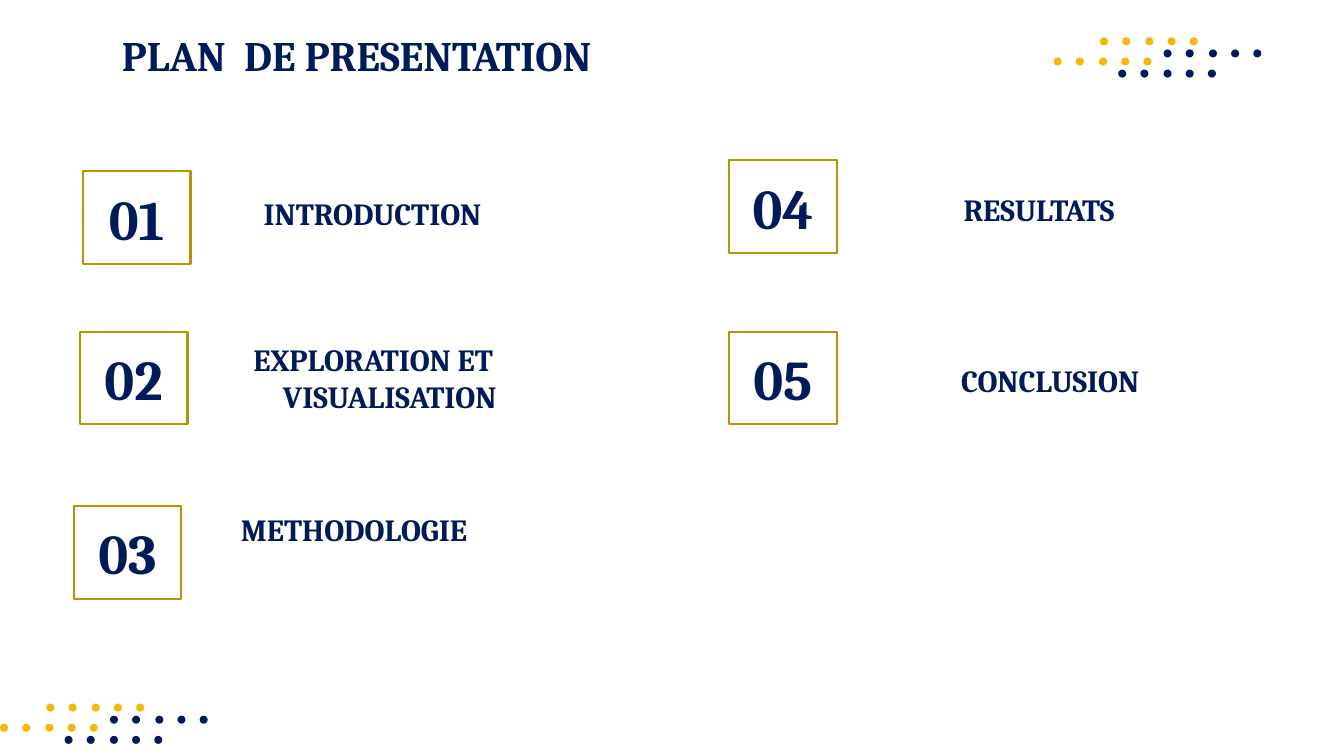
import pptx
import pptx.dml.color
import pptx.enum.shapes
import pptx.enum.text
import pptx.util

PX = 9144  # 100 px to the inch
COLORS = {"navy": "001B5C", "gold": "BF9000", "yellow": "F6B800"}
ALIGN = pptx.enum.text.PP_ALIGN
ANCHOR = pptx.enum.text.MSO_ANCHOR
SHAPE = pptx.enum.shapes.MSO_SHAPE


def rgb(name):
    return pptx.dml.color.RGBColor.from_string(COLORS[name])


def write(shape, text, size, alignment, anchor):
    """Fill a shape with one bold navy paragraph and return the paragraph."""
    frame = shape.text_frame
    frame.word_wrap = True
    frame.auto_size = pptx.enum.text.MSO_AUTO_SIZE.NONE
    frame.vertical_anchor = anchor
    frame.margin_left = frame.margin_right = 13 * PX
    frame.margin_top = frame.margin_bottom = 13 * PX
    paragraph = frame.paragraphs[0]
    paragraph.alignment = alignment
    run = paragraph.add_run()
    run.text = text
    run.font.name = "Cambria"
    run.font.size = pptx.util.Pt(size)
    run.font.bold = True
    run.font.color.rgb = rgb("navy")
    return paragraph


presentation = pptx.Presentation()
presentation.slide_width = 1333 * PX
presentation.slide_height = 750 * PX
slide = presentation.slides.add_slide(presentation.slide_layouts.get_by_name("Title Only"))

title = slide.shapes.title
title.left, title.top, title.width, title.height = 108 * PX, 16 * PX, 1123 * PX, 84 * PX
write(title, "PLAN  DE PRESENTATION", 30, ALIGN.LEFT, ANCHOR.TOP)

# Number, its box (left, top), label, the label's box (left, top, width), alignment
sections = [
    ("01", 82, 170, "INTRODUCTION", 208, 172, 306, ALIGN.CENTER),
    ("02", 79, 329, "EXPLORATION ET VISUALISATION", 112, 353, 499, ALIGN.CENTER),
    ("03", 73, 502, "METHODOLOGIE", 209, 485, 546, ALIGN.LEFT),
    ("04", 723, 159, "RESULTATS", 777, 168, 490, ALIGN.CENTER),
    ("05", 723, 329, "CONCLUSION", 777, 337, 512, ALIGN.CENTER),
]
for number, left, top, label, label_left, label_top, label_width, alignment in sections:
    box = slide.shapes.add_shape(SHAPE.RECTANGLE, left * PX, top * PX, 107 * PX, 92 * PX)
    box.shadow.inherit = False
    box.fill.background()
    box.line.color.rgb = rgb("gold")
    box.line.width = pptx.util.Pt(1.5)
    write(box, number, 40, ALIGN.CENTER, ANCHOR.MIDDLE)

    text_box = slide.shapes.add_textbox(
        label_left * PX, label_top * PX, label_width * PX, 71 * PX)
    paragraph = write(text_box, label, 22, alignment, ANCHOR.BOTTOM)
    properties = paragraph._p.get_or_add_pPr()
    properties.set("marL", str(50 * PX))
    properties.set("indent", str(-33 * PX))

# Each dot row: offset from the pattern's corner, colour
dot_rows = [(46, 0, "yellow"), (0, 20, "yellow"), (109, 12, "navy"), (64, 32, "navy")]
for pattern_left, pattern_top in [(1045, 37), (0, 698)]:
    pattern = slide.shapes.add_group_shape()
    for row_left, row_top, color in dot_rows:
        for column in range(5):
            left = pattern_left + row_left + round(column * 22.35)
            top = pattern_top + row_top
            dot = pattern.shapes.add_shape(SHAPE.OVAL, left * PX, top * PX, 8 * PX, 8 * PX)
            dot.shadow.inherit = False
            dot.fill.solid()
            dot.fill.fore_color.rgb = rgb(color)
            dot.line.fill.background()

presentation.save("out.pptx")
